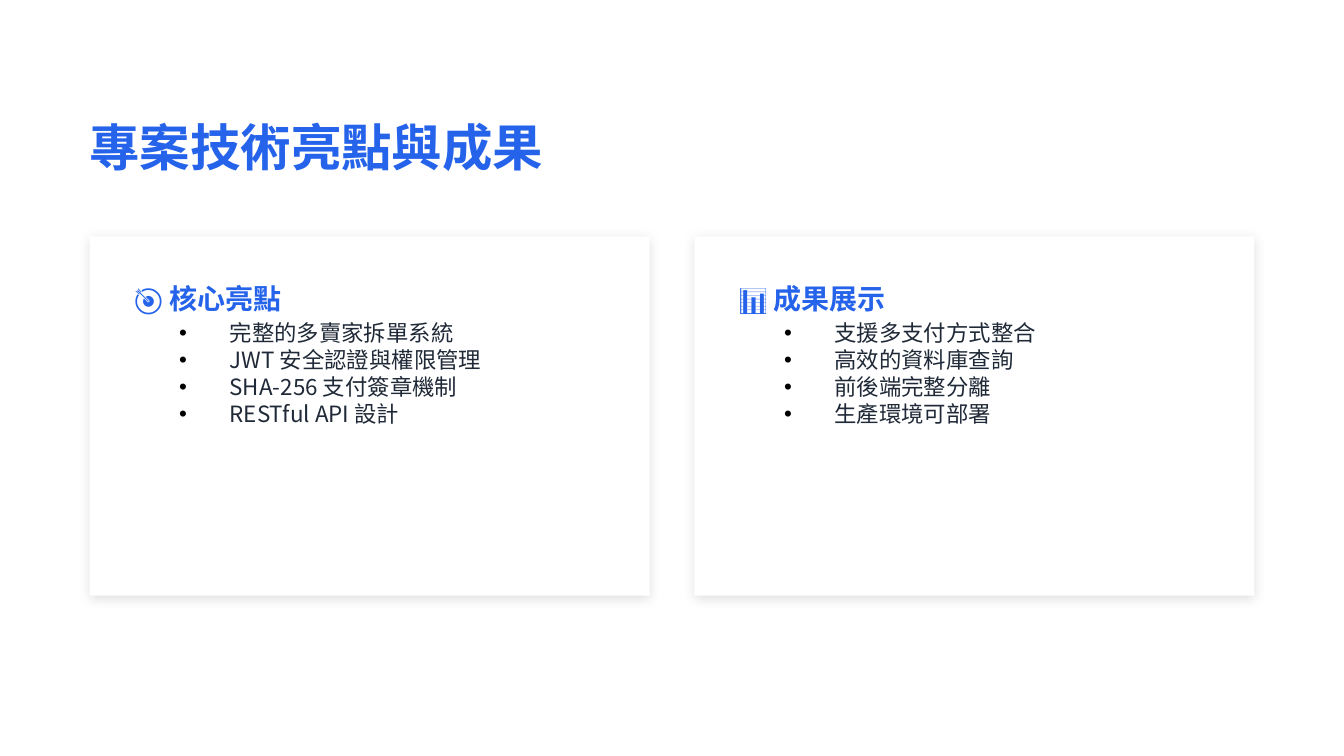
from dataclasses import dataclass

from lxml import etree
from pptx import Presentation
from pptx.dml.color import RGBColor
from pptx.enum.shapes import MSO_SHAPE
from pptx.oxml.ns import qn
from pptx.util import Inches, Pt

RECTANGLE = MSO_SHAPE.RECTANGLE
BLANK_LAYOUT = 6


@dataclass(frozen=True)
class Theme:
    font: str = "Noto Sans CJK SC"
    bullet_font: str = "Arial"
    accent: str = "2563EB"
    body: str = "1F2937"
    surface: str = "FFFFFF"
    dark: str = "000000"
    title_size: float = 27
    heading_size: float = 15
    body_size: float = 12
    title_leading: float = 46.8
    heading_leading: float = 18
    body_leading: float = 14.4


THEME = Theme()

# Widescreen page with a grid of 30 columns and rows of the same size
SLIDE_WIDTH = Inches(10)
SLIDE_HEIGHT = SLIDE_WIDTH * 9 // 16
UNIT = SLIDE_WIDTH / 30
MARGIN = 2
CARD_TOP, CARD_WIDTH, CARD_HEIGHT, CARD_GAP = 5.28, 12.5, 8.02, 1
BULLET_INDENT = Pt(27)

TITLE = "專案技術亮點與成果"
CARDS = [
    ("🎯 核心亮點", [
        "完整的多賣家拆單系統",
        "JWT 安全認證與權限管理",
        "SHA-256 支付簽章機制",
        "RESTful API 設計",
    ]),
    ("📊 成果展示", [
        "支援多支付方式整合",
        "高效的資料庫查詢",
        "前後端完整分離",
        "生產環境可部署",
    ]),
]


def grid(*cells):
    """Turn columns and rows into slide lengths."""
    return [round(cell * UNIT) for cell in cells]


def color(value):
    return RGBColor.from_string(value)


def add_bullet(para):
    properties = para._p.get_or_add_pPr()
    properties.set("marL", str(BULLET_INDENT))
    properties.set("indent", str(-BULLET_INDENT))
    bullet_color = etree.SubElement(properties, qn("a:buClr"))
    etree.SubElement(bullet_color, qn("a:srgbClr"), val=THEME.dark)
    etree.SubElement(properties, qn("a:buFont"), typeface=THEME.bullet_font)
    etree.SubElement(properties, qn("a:buChar"), char="•")


def add_text(page, area, lines, size, leading, text_color, bold=False, bullets=False):
    frame = page.shapes.add_textbox(*grid(*area)).text_frame
    frame.word_wrap = True
    frame.margin_left = frame.margin_top = 0
    frame.margin_right = frame.margin_bottom = 0
    frame.text = "\n".join(lines)
    for para in frame.paragraphs:
        para.line_spacing = Pt(leading)
        if bullets:
            add_bullet(para)
        for span in para.runs:
            span.font.size = Pt(size)
            span.font.bold = bold
            span.font.color.rgb = color(text_color)
            span.font.name = THEME.font
            # East Asian text needs its own typeface
            etree.SubElement(span.font._element, qn("a:ea"), typeface=THEME.font)


def add_soft_shadow(box):
    box.shadow.inherit = False
    effects = box._element.spPr.find(qn("a:effectLst"))
    shadow = etree.SubElement(
        effects, qn("a:outerShdw"), blurRad=str(Pt(6)), dist=str(Pt(1.5)),
        dir="5400000", algn="ctr", rotWithShape="0")
    shade = etree.SubElement(shadow, qn("a:srgbClr"), val=THEME.dark)
    etree.SubElement(shade, qn("a:alpha"), val="12000")


def add_panel(page, left):
    box = page.shapes.add_shape(
        RECTANGLE, *grid(left, CARD_TOP, CARD_WIDTH, CARD_HEIGHT))
    box.fill.solid()
    box.fill.fore_color.rgb = color(THEME.surface)
    box.line.fill.background()
    add_soft_shadow(box)


def add_card_text(page, left, heading, items):
    add_text(page, (left + 1, CARD_TOP + 1, 10.7, 0.84), [heading],
             THEME.heading_size, THEME.heading_leading, THEME.accent, bold=True)
    add_text(page, (left + 2, CARD_TOP + 1.85, 9.5, 5.16), items,
             THEME.body_size, THEME.body_leading, THEME.body, bullets=True)


def main():
    deck = Presentation()
    deck.slide_width, deck.slide_height = SLIDE_WIDTH, SLIDE_HEIGHT
    page = deck.slides.add_slide(deck.slide_layouts[BLANK_LAYOUT])
    page.background.fill.solid()
    page.background.fill.fore_color.rgb = color(THEME.surface)
    card_lefts = [MARGIN + index * (CARD_WIDTH + CARD_GAP) for index in range(len(CARDS))]

    # Card panels
    for left in card_lefts:
        add_panel(page, left)

    # Title
    add_text(page, (MARGIN, 2, 26.5, 1.47), [TITLE],
             THEME.title_size, THEME.title_leading, THEME.accent, bold=True)

    # Card headings and lists
    for left, (heading, items) in zip(card_lefts, CARDS):
        add_card_text(page, left, heading, items)

    deck.save("out.pptx")


if __name__ == "__main__":
    main()
